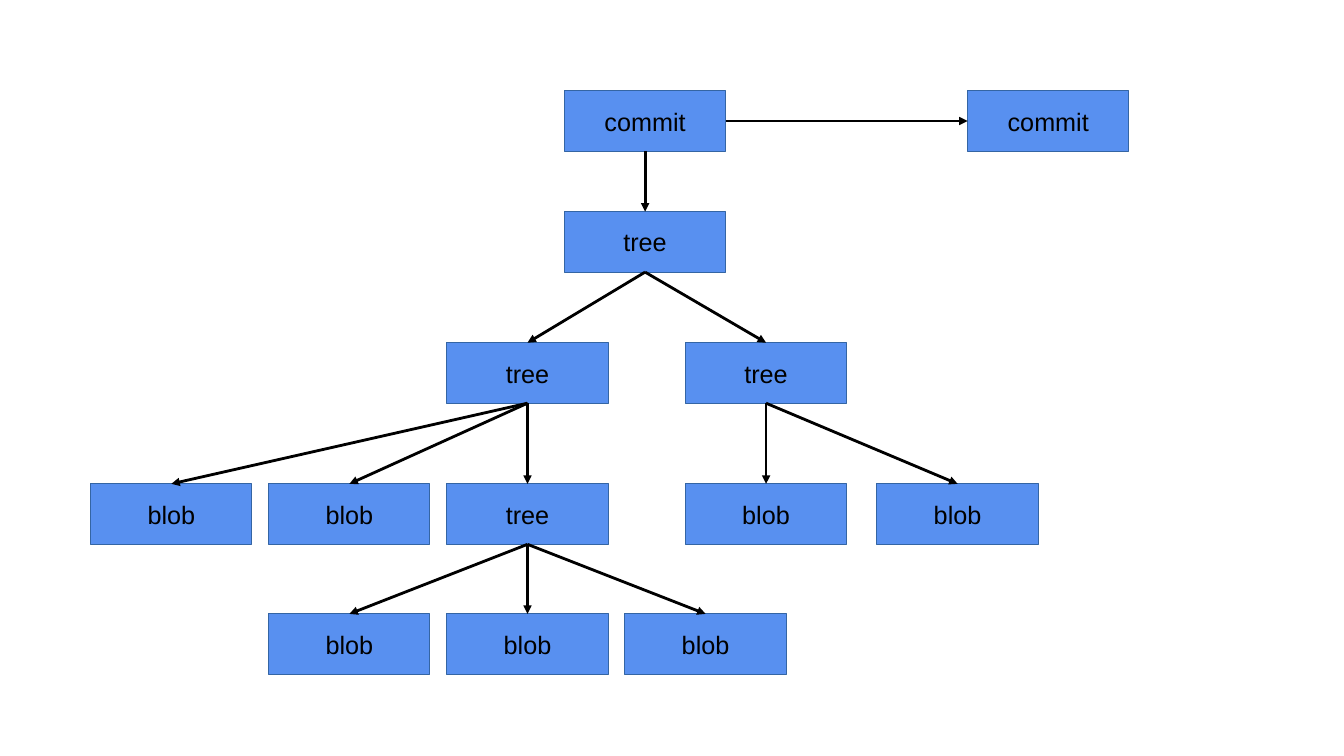
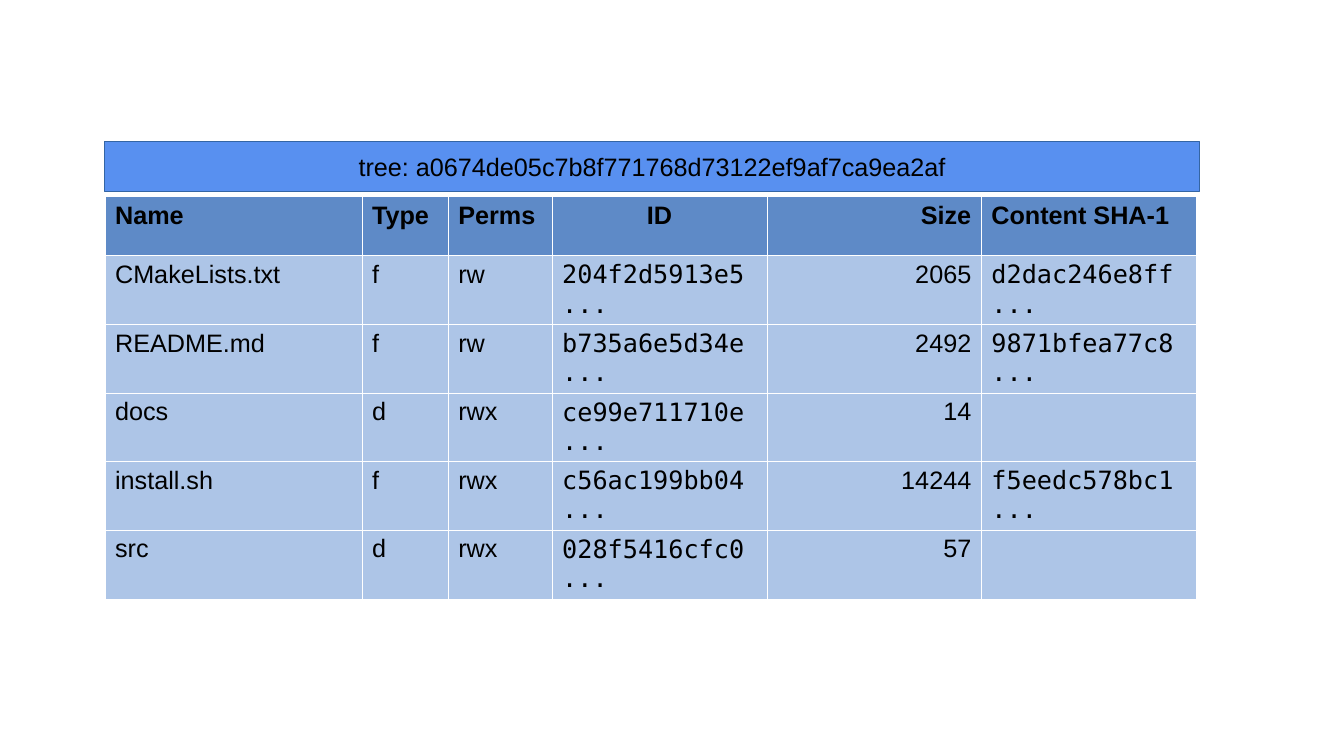
from lxml import etree
from pptx import Presentation
from pptx.dml.color import RGBColor
from pptx.enum.shapes import MSO_CONNECTOR, MSO_SHAPE
from pptx.enum.text import MSO_ANCHOR, PP_ALIGN
from pptx.oxml.ns import qn
from pptx.util import Pt

RECT = MSO_SHAPE.RECTANGLE
LINE = MSO_CONNECTOR.STRAIGHT
LEFT, MID, RIGHT = PP_ALIGN.LEFT, PP_ALIGN.CENTER, PP_ALIGN.RIGHT
CENTER = MSO_ANCHOR.MIDDLE
TOP, WEST, BASE, EAST = range(4)

BLUE, EDGE, BLACK, WHITE = "5890F0", "3465A4", "000000", "FFFFFF"
HEAD, BODY = "5E8AC7", "ADC5E7"
SANS, MONO = "Arial", "DejaVu Sans Mono"
HAIR = Pt(0)

NODE_W, NODE_H = 115.2, 43.2
STEP = 127.2
LEVELS = [0, 86.4, 180, 280.8, 373.7]
TREE = ("commit", 367.2 - 28.8, [
    ("tree", 338.4, [
        ("tree", 2 * STEP, [
            ("blob", 0, []),
            ("blob", STEP, []),
            ("tree", 2 * STEP, [
                ("blob", col * STEP, []) for col in (1, 2, 3)
            ]),
        ]),
        ("tree", 424.8, [
            ("blob", 424.8, []),
            ("blob", 561.6, []),
        ]),
    ]),
])
NEXT_X = 626.4

COLS = [
    ("Name", 183.6, LEFT, LEFT, SANS),
    ("Type", 61.6, LEFT, LEFT, SANS),
    ("Perms", 74.2, LEFT, LEFT, SANS),
    ("ID", 153.3, MID, LEFT, MONO),
    ("Size", 153.3, RIGHT, RIGHT, SANS),
    ("Content SHA-1", 153.3, LEFT, LEFT, MONO),
]
FILES = [
    ("CMakeLists.txt", "f", "rw", "204f2d5913e5...", "2065", "d2dac246e8ff..."),
    ("README.md", "f", "rw", "b735a6e5d34e...", "2492", "9871bfea77c8..."),
    ("docs", "d", "rwx", "ce99e711710e...", "14", ""),
    ("install.sh", "f", "rwx", "c56ac199bb04...", "14244", "f5eedc578bc1..."),
    ("src", "d", "rwx", "028f5416cfc0...", "57", ""),
]
ROW_H = 42.1


def paint(fmt, color):
    fmt.solid()
    fmt.fore_color.rgb = RGBColor.from_string(color)


def write(frame, text, font=SANS, size=18, color=BLACK, bold=False, align=LEFT):
    para = frame.paragraphs[0]
    para.alignment = align
    para.font.size = Pt(size)
    if not text:
        return
    run = para.add_run()
    run.text = text
    run.font.name = font
    run.font.size = Pt(size)
    run.font.bold = bold
    paint(run.font.fill, color)


def label(slide, text, x, y, w, h):
    box = slide.shapes.add_shape(RECT, Pt(x), Pt(y), Pt(w), Pt(h))
    box.shadow.inherit = False
    paint(box.fill, BLUE)
    paint(box.line.fill, EDGE)
    box.line.width = HAIR
    frame = box.text_frame
    frame.word_wrap = False
    frame.vertical_anchor = CENTER
    write(frame, text, align=MID)
    return box


def arrow(slide, start, end, out=BASE, into=TOP):
    link = slide.shapes.add_connector(LINE, 0, 0, 0, 0)
    link.begin_connect(start, out)
    link.end_connect(end, into)
    paint(link.line.fill, BLACK)
    link.line.width = HAIR
    props = link._element.spPr
    etree.SubElement(props.find(qn("a:ln")), qn("a:tailEnd"), type="triangle")
    etree.SubElement(props, qn("a:effectLst"))


def branch(slide, node, x, y, depth=0):
    text, shift, kids = node
    box = label(slide, text, x + shift, y + LEVELS[depth], NODE_W, NODE_H)
    for kid in kids:
        arrow(slide, box, branch(slide, kid, x, y, depth + 1))
    return box


def graph(slide, x, y):
    root = branch(slide, TREE, x, y)
    other = label(slide, "commit", x + NEXT_X, y, NODE_W, NODE_H)
    arrow(slide, root, other, EAST, WEST)


def border(cell, color, width):
    props = cell._tc.get_or_add_tcPr()
    for side in ("lnL", "lnR", "lnT", "lnB"):
        edge = etree.SubElement(props, qn("a:" + side), w=str(Pt(width)))
        fill = etree.SubElement(edge, qn("a:solidFill"))
        etree.SubElement(fill, qn("a:srgbClr"), val=color)


def listing(slide, x, y):
    rows = len(FILES) + 1
    width = sum(col[1] for col in COLS)
    table = slide.shapes.add_table(
        rows, len(COLS), Pt(x), Pt(y), Pt(width), Pt(rows * ROW_H)).table
    table.first_row = table.horz_banding = False
    for row in table.rows:
        row.height = Pt(ROW_H)
    for c, (title, wide, top, side, font) in enumerate(COLS):
        table.columns[c].width = Pt(wide)
        for r, text in enumerate([title] + [file[c] for file in FILES]):
            cell = table.cell(r, c)
            border(cell, WHITE, 0.06)
            paint(cell.fill, BODY if r else HEAD)
            if r:
                write(cell.text_frame, text, font=font, align=side)
            else:
                write(cell.text_frame, text, bold=True, align=top)


def detail(slide, x, y):
    listing(slide, x, y + 39.6)
    label(slide, "tree: a0674de05c7b8f771768d73122ef9af7ca9ea2af",
          x - 0.2, y, 782, 36)


def main():
    deck = Presentation()
    deck.slide_width, deck.slide_height = Pt(960), Pt(540)
    for draw, x, y in ((graph, 64.8, 64.8), (detail, 75, 100.8)):
        draw(deck.slides.add_slide(deck.slide_layouts[6]), x, y)
    deck.save("out.pptx")


if __name__ == "__main__":
    main()
